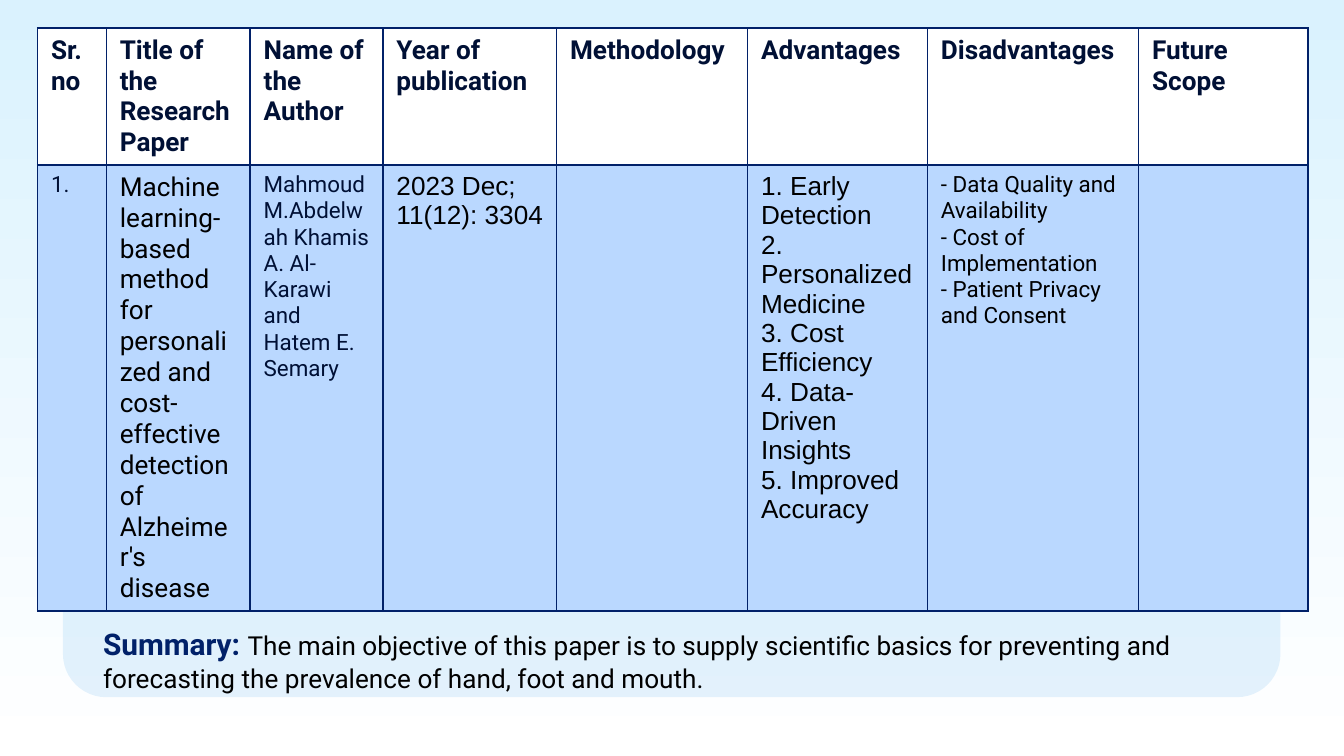
import lxml.etree
import pptx
import pptx.dml.color
import pptx.enum.shapes
import pptx.enum.text
import pptx.oxml.ns
import pptx.util

Cm = pptx.util.Cm
Pt = pptx.util.Pt
RGBColor = pptx.dml.color.RGBColor
qn = pptx.oxml.ns.qn

WHITE = RGBColor(0xFF, 0xFF, 0xFF)
BLACK = RGBColor(0, 0, 0)
SKY = RGBColor(0xDA, 0xF2, 0xFE)
PANEL_BLUE = RGBColor(0x03, 0x88, 0xE5)
NAVY = RGBColor(0x01, 0x21, 0x69)
INK = RGBColor(0x00, 0x10, 0x35)
ROW_BLUE = RGBColor(0xBA, 0xD8, 0xFF)

COLUMN_WIDTHS = [1.3, 2.72, 2.51, 3.28, 3.61, 3.4, 3.99, 3.2]
ROW_HEIGHTS = [2.03, 7.77]
HEADINGS = ["Sr.no", "Title of the Research Paper", "Name of the Author",
            "Year of publication", "Methodology", "Advantages",
            "Disadvantages", "Future Scope"]
# Each entry: text, font name, size, colour
PAPER = [
    ("1.", "Roboto", 12, INK),
    ("Machine learning-based method for personalized and cost-effective "
     "detection of Alzheimer's disease", "Roboto", 14, BLACK),
    ("Mahmoud M.Abdelwah Khamis A. Al-Karawi and Hatem E. Semary",
     "Roboto", 12, INK),
    ("2023 Dec; 11(12): 3304", "Arial", 14, BLACK),
    ("", "Arial", 14, BLACK),
    ("1. Early Detection\n2. Personalized Medicine\n3. Cost Efficiency\n"
     "4. Data-Driven Insights\n5. Improved Accuracy", "Arial", 14, BLACK),
    ("- Data Quality and Availability\n- Cost of Implementation\n"
     "- Patient Privacy and Consent", "Roboto", 12, BLACK),
    ("", "Roboto", 12, BLACK),
]


def format_run(run, name, size, color, bold=False):
    run.font.name = name
    run.font.size = Pt(size)
    run.font.color.rgb = color
    run.font.bold = bold


def add_cell_borders(cell, color, width):
    properties = cell._tc.get_or_add_tcPr()
    for side in ("a:lnL", "a:lnR", "a:lnT", "a:lnB"):
        line = lxml.etree.SubElement(properties, qn(side), w=str(Pt(width)))
        fill = lxml.etree.SubElement(line, qn("a:solidFill"))
        lxml.etree.SubElement(fill, qn("a:srgbClr"), val=str(color))


def paint_background(slide):
    fill = slide.background.fill
    fill.gradient()
    fill.gradient_angle = 90
    for stop, color in zip(fill.gradient_stops, (WHITE, SKY)):
        stop.color.rgb = color


def add_panel(slide, left, top, width, height):
    panel = slide.shapes.add_shape(
        pptx.enum.shapes.MSO_SHAPE.ROUNDED_RECTANGLE, left, top, width, height)
    panel.adjustments[0] = 0.068
    panel.shadow.inherit = False
    panel.line.fill.background()
    panel.fill.solid()
    panel.fill.fore_color.rgb = PANEL_BLUE
    color = panel._element.spPr.find(qn("a:solidFill")).find(qn("a:srgbClr"))
    lxml.etree.SubElement(color, qn("a:alpha"), val="10000")


def fill_cell(cell, text, name, size, color, background, bold=False):
    cell.text_frame.text = text
    for paragraph in cell.text_frame.paragraphs:
        paragraph.font.size = Pt(size)
        for run in paragraph.runs:
            format_run(run, name, size, color, bold)
    add_cell_borders(cell, NAVY, 1)
    cell.fill.solid()
    cell.fill.fore_color.rgb = background


def add_paper_table(slide, left, top):
    table = slide.shapes.add_table(
        len(ROW_HEIGHTS), len(COLUMN_WIDTHS), left, top,
        Cm(sum(COLUMN_WIDTHS)), Cm(sum(ROW_HEIGHTS))).table
    table.first_row = False
    table.horz_banding = False
    for column, width in zip(table.columns, COLUMN_WIDTHS):
        column.width = Cm(width)
    for row, height in zip(table.rows, ROW_HEIGHTS):
        row.height = Cm(height)
    for index, (heading, entry) in enumerate(zip(HEADINGS, PAPER)):
        fill_cell(table.cell(0, index), heading, "Roboto", 14, INK, WHITE, True)
        fill_cell(table.cell(1, index), *entry, ROW_BLUE)
    number = table.cell(1, 0).text_frame.paragraphs[0]
    number.alignment = pptx.enum.text.PP_ALIGN.JUSTIFY


def add_summary(slide, left, top, width, height):
    text_frame = slide.shapes.add_textbox(left, top, width, height).text_frame
    text_frame.word_wrap = True
    text_frame.auto_size = pptx.enum.text.MSO_AUTO_SIZE.SHAPE_TO_FIT_TEXT
    paragraph = text_frame.paragraphs[0]
    label, body = paragraph.add_run(), paragraph.add_run()
    label.text = "Summary: "
    body.text = ("The main objective of this paper is to supply scientific "
                 "basics for preventing and forecasting the prevalence of "
                 "hand, foot and mouth.")
    format_run(label, "Roboto", 16, NAVY, True)
    format_run(body, "Roboto", 14, BLACK)


def main():
    presentation = pptx.Presentation()
    presentation.slide_width = Cm(25.4)
    presentation.slide_height = Cm(14.29)
    slide = presentation.slides.add_slide(presentation.slide_layouts[6])
    paint_background(slide)
    add_panel(slide, Cm(1.19), Cm(1.12), Cm(23.01), Cm(12.06))
    add_paper_table(slide, Cm(0.71), Cm(0.53))
    add_summary(slide, Cm(1.7), Cm(11.71), Cm(22.61), Cm(2.24))
    presentation.save("out.pptx")


if __name__ == "__main__":
    main()
